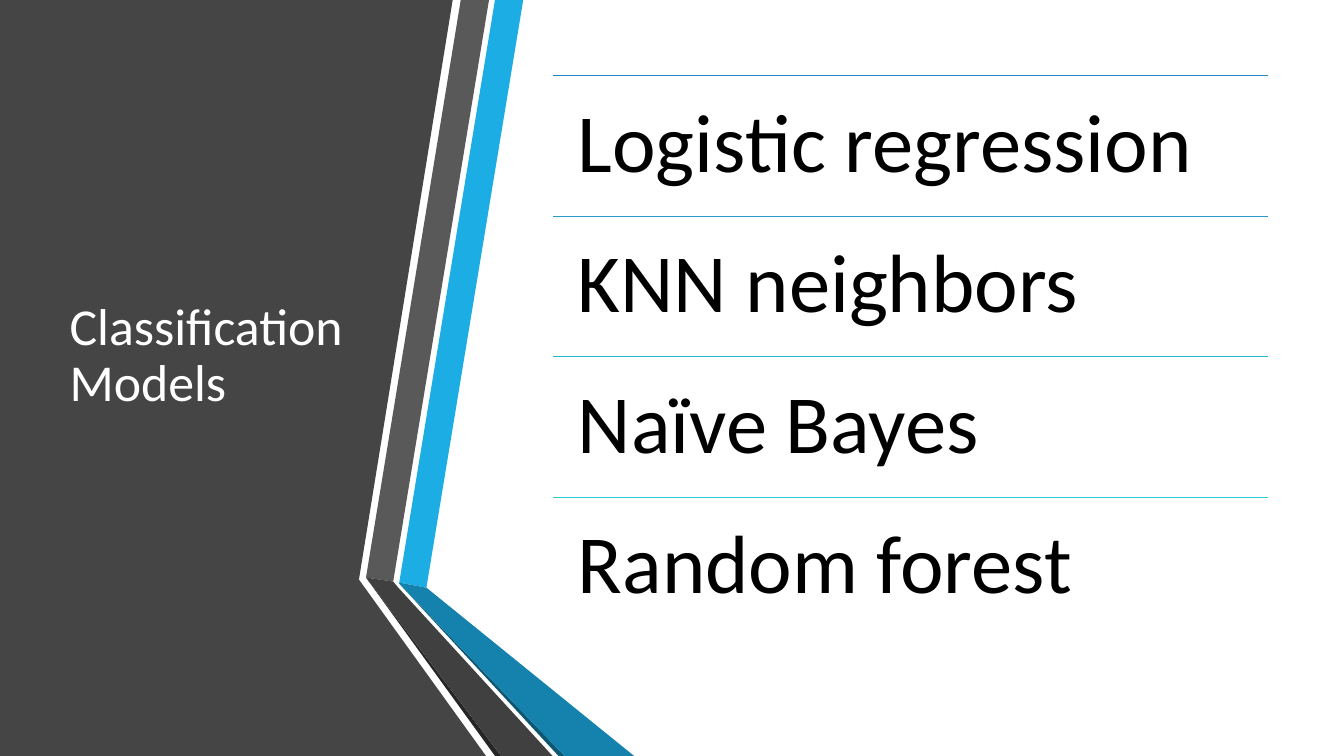
from pptx import Presentation
from pptx.dml.color import RGBColor
from pptx.enum.shapes import MSO_CONNECTOR
from pptx.enum.text import MSO_ANCHOR, MSO_AUTO_SIZE, PP_ALIGN
from pptx.oxml.ns import qn
from pptx.util import Inches, Pt
from lxml import etree

# Content
HEADING = "Classification Models"
MODELS = [
    ("Logistic regression", "2683C6"),
    ("KNN neighbors", "269BCC"),
    ("Naïve Bayes", "27B4D1"),
    ("Random forest", "27CED7"),
]
COLORS = {
    "panel": "454545", "blue": "1CADE4", "blue_fold": "1482AC", "blue_edge": "0E5772",
    "gray": "595959", "gray_fold": "404040", "gray_edge": "262626",
    "heading": "FFFFFF", "model": "000000",
}
FONT = "Calibri"

# Folded ribbon: colour name and corner points in hundredths of an inch, back to front
RIBBON = [
    ("panel", [(0, 0), (449, 0), (356, 575), (482, 750), (0, 750)]),
    ("blue", [(396, 578), (423, 583), (519, 0), (491, 0)]),
    ("gray", [(485, 0), (457, 0), (363, 573), (390, 577)]),
    ("gray_edge", [(363, 573), (491, 750), (497, 750)]),
    ("blue_edge", [(396, 579), (554, 750), (560, 750)]),
    ("blue_fold", [(396, 579), (560, 750), (629, 750), (423, 583), (396, 578)]),
    ("gray_fold", [(548, 750), (395, 583), (390, 577), (363, 573), (497, 750)]),
]

# Layout
TOP, HEIGHT = 0.75, 5.58
HEADING_LEFT, HEADING_WIDTH = 0.59, 3.04
LIST_LEFT, LIST_WIDTH, INSET = 5.48, 7.1, 0.25
ROW = HEIGHT / len(MODELS)
MODEL_SIZE, LINE_SPACING = 59, 0.9
LINE_HEIGHT = MODEL_SIZE * 1.2 * LINE_SPACING  # points taken by one list line


def place(holder, left, width, anchor):
    """Move a placeholder to the front and set its frame."""
    holder.left, holder.top = Inches(left), Inches(TOP)
    holder.width, holder.height = Inches(width), Inches(HEIGHT)
    slide.shapes._spTree.append(holder._element)
    frame = holder.text_frame
    frame.word_wrap = True
    frame.auto_size = MSO_AUTO_SIZE.NONE
    frame.vertical_anchor = anchor
    return frame


def style(paragraph, size, color):
    paragraph.alignment = PP_ALIGN.LEFT
    paragraph.line_spacing = LINE_SPACING
    paragraph.space_before = Pt(0)
    for run in paragraph.runs:
        run.font.name = FONT
        run.font.size = Pt(size)
        run.font.color.rgb = RGBColor.from_string(COLORS[color])


deck = Presentation()
deck.slide_width, deck.slide_height = Inches(13.33), Inches(7.5)
slide = deck.slides.add_slide(deck.slide_layouts[1])

# Dark panel and ribbon
for color, (start, *corners) in RIBBON:
    builder = slide.shapes.build_freeform(*start, scale=Inches(0.01))
    builder.add_line_segments(corners, close=True)
    band = builder.convert_to_shape()
    band.shadow.inherit = False
    band.fill.solid()
    band.fill.fore_color.rgb = RGBColor.from_string(COLORS[color])
    band.line.fill.background()

# Heading
heading = place(slide.shapes.title, HEADING_LEFT, HEADING_WIDTH, MSO_ANCHOR.MIDDLE)
heading.text = HEADING
style(heading.paragraphs[0], 37, "heading")

# Rule above each model
for row, (_, color) in enumerate(MODELS):
    y = Inches(TOP + row * ROW)
    rule = slide.shapes.add_connector(
        MSO_CONNECTOR.STRAIGHT, Inches(LIST_LEFT), y, Inches(LIST_LEFT + LIST_WIDTH), y)
    rule.line.color.rgb = RGBColor.from_string(color)
    rule.line.width = Pt(0.85)
    etree.SubElement(rule._element.spPr, qn("a:effectLst"))

# Model list, one line per row
models = place(slide.placeholders[1], LIST_LEFT, LIST_WIDTH, MSO_ANCHOR.TOP)
models.margin_left = models.margin_right = Inches(INSET)
models.margin_top = models.margin_bottom = Inches(INSET)
models.text = "\n".join(name for name, _ in MODELS)
for model in models.paragraphs:
    style(model, MODEL_SIZE, "model")
    model.space_after = Pt(round(ROW * 72 - LINE_HEIGHT, 1))
    properties = model._p.get_or_add_pPr()
    properties.set("marL", "0")
    properties.set("indent", "0")
    etree.SubElement(properties, qn("a:buNone"))

deck.save("out.pptx")
